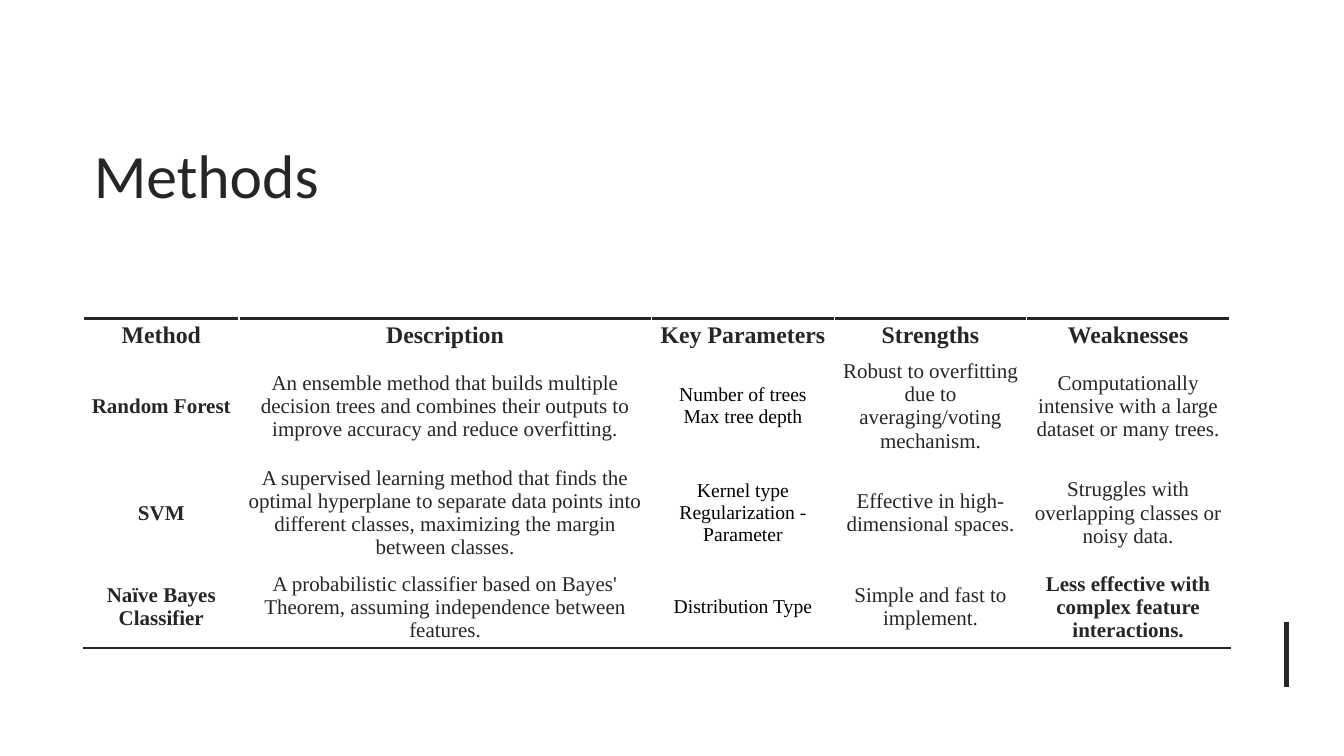
from lxml import etree
from pptx import Presentation
from pptx import util as u
from pptx.dml.color import RGBColor
from pptx.enum import shapes, text
from pptx.oxml import ns

TITLE = "Methods"
HEADERS = ["Method", "Description", "Key Parameters", "Strengths", "Weaknesses"]
METHODS = [
    ["Random Forest",
     "An ensemble method that builds multiple decision trees and combines their outputs to improve accuracy and reduce overfitting.",
     "Number of trees\nMax tree depth",
     "Robust to overfitting due to averaging/voting mechanism.",
     "Computationally intensive with a large dataset or many trees."],
    ["SVM",
     "A supervised learning method that finds the optimal hyperplane to separate data points into different classes, maximizing the margin between classes.",
     "Kernel type Regularization -\nParameter",
     "Effective in high-dimensional spaces.",
     "Struggles with overlapping classes or noisy data."],
    ["Naïve Bayes\nClassifier",
     "A probabilistic classifier based on Bayes' Theorem, assuming independence between features.",
     "Distribution Type",
     "Simple and fast to implement.",
     "Less effective with complex feature interactions."],
]
COLORS = {"paper": "FFFFFF", "ink": "262626", "black": "000000"}
WIDTH, HEIGHT = 13.33, 7.5
LEFT = 0.83
COLUMNS = [1.54, 4.09, 1.82, 1.9, 2.02]
ROWS = [0.34, 1.06, 1.06, 0.81]
TABLE_TOP = 3.16
BAND_HEIGHT = 2.78
BODY = {"name": "Times New Roman", "size": u.Pt(15), "bold": False}
HEADER = {**BODY, "size": u.Pt(17), "bold": True}
STRONG = {**BODY, "bold": True}
PARAMETER = {**BODY, "size": u.Pt(14)}
HEADING = {"name": "Calibri", "size": u.Pt(44), "bold": False}
CELL = {"margin_left": 0, "margin_right": 0, "margin_top": 0, "margin_bottom": 0,
        "vertical_anchor": text.MSO_ANCHOR.MIDDLE}


def color(name):
    return RGBColor.from_string(COLORS[name])


def assign(target, values):
    for name, value in values.items():
        setattr(target, name, value)


def box(*lengths):
    return [u.Inches(length) for length in lengths]


def write(frame, content, font, ink, alignment):
    frame.text = content
    for paragraph in frame.paragraphs:
        paragraph.alignment = alignment
        for run in paragraph.runs:
            assign(run.font, font)
            run.font.color.rgb = color(ink)


def rule(cell, side):
    line = etree.Element(ns.qn(f"a:ln{side}"), w=str(u.Pt(2)))
    fill = etree.SubElement(line, ns.qn("a:solidFill"))
    etree.SubElement(fill, ns.qn("a:srgbClr"), val=COLORS["ink"])
    cell._tc.get_or_add_tcPr().insert(0, line)


def cell_font(row, column):
    if row == 0:
        return HEADER
    if column == 0 or (row, column) == (len(METHODS), len(HEADERS) - 1):
        return STRONG
    return PARAMETER if column == 2 else BODY


def add_backdrop(slide):
    for height in (HEIGHT, BAND_HEIGHT):
        panel = slide.shapes.add_shape(shapes.MSO_SHAPE.RECTANGLE, *box(0, 0, WIDTH, height))
        panel.shadow.inherit = False
        panel.fill.solid()
        panel.fill.fore_color.rgb = color("paper")
        panel.line.fill.background()
        slide.shapes.title.element.addprevious(panel.element)


def add_title(slide):
    title = slide.shapes.title
    assign(title, dict(zip(("left", "top", "width", "height"), box(LEFT, 0.94, 10.49, 1.57))))
    title.text_frame.vertical_anchor = text.MSO_ANCHOR.MIDDLE
    write(title.text_frame, TITLE, HEADING, "ink", text.PP_ALIGN.LEFT)


def add_accent(slide):
    accent = slide.shapes.add_connector(
        shapes.MSO_CONNECTOR.STRAIGHT, *box(12.76, 6.17, 12.76, 6.82))
    accent.line.color.rgb = color("ink")
    accent.line.width = u.Pt(3)
    etree.SubElement(accent.element.spPr, ns.qn("a:effectLst"))


def add_methods(slide):
    content = [HEADERS, *METHODS]
    table = slide.shapes.add_table(
        len(ROWS), len(COLUMNS), *box(LEFT, TABLE_TOP, sum(COLUMNS), sum(ROWS))).table
    assign(table, {"first_row": False, "horz_banding": False})
    for column, width in zip(table.columns, COLUMNS):
        column.width = u.Inches(width)
    for row, height in zip(table.rows, ROWS):
        row.height = u.Inches(height)
    for row, values in enumerate(content):
        for column, value in enumerate(values):
            cell = table.cell(row, column)
            assign(cell, CELL)
            cell.fill.solid()
            cell.fill.fore_color.rgb = color("paper")
            ink = "black" if row and column == 2 else "ink"
            write(cell.text_frame, value, cell_font(row, column), ink, text.PP_ALIGN.CENTER)
            if row == 0:
                rule(cell, "T")
            elif row == len(METHODS):
                rule(cell, "B")


def main():
    presentation = Presentation()
    assign(presentation, {"slide_width": u.Inches(WIDTH), "slide_height": u.Inches(HEIGHT)})
    slide = presentation.slides.add_slide(presentation.slide_layouts[5])
    add_backdrop(slide)
    add_title(slide)
    add_accent(slide)
    add_methods(slide)
    presentation.save("out.pptx")


if __name__ == "__main__":
    main()
